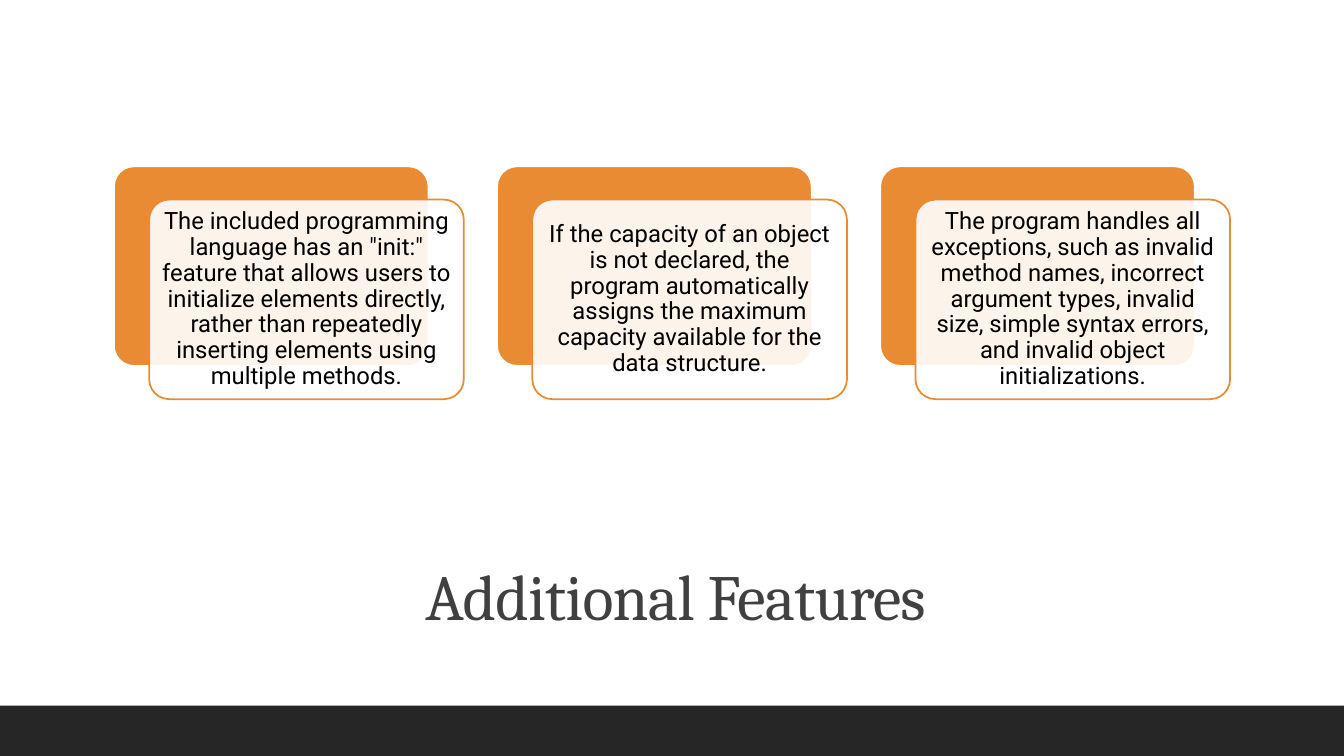
from lxml.etree import SubElement
from pptx import Presentation
from pptx.dml.color import RGBColor
from pptx.enum.shapes import MSO_SHAPE
from pptx.enum.text import MSO_ANCHOR, PP_ALIGN
from pptx.oxml.ns import qn
from pptx.util import Inches, Pt

TITLE = "Additional Features"
FEATURES = [
    'The included programming language has an "init:" feature that allows users to '
    "initialize elements directly, rather than repeatedly inserting elements using "
    "multiple methods.",
    "If the capacity of an object is not declared, the program automatically assigns "
    "the maximum capacity available for the data structure.",
    "The program handles all exceptions, such as invalid method names, incorrect "
    "argument types, invalid size, simple syntax errors, and invalid object "
    "initializations.",
]
COLORS = {
    "white": "FFFFFF",
    "orange": "E88B33",
    "footer": "262626",
    "title": "404040",
    "text": "000000",
}
SLIDE_WIDTH, SLIDE_HEIGHT = 13.33, 7.5
FOOTER_HEIGHT = 0.5
CARD_LEFT, CARD_TOP, CARD_STEP = 1.13, 1.65, 3.8
CARD_WIDTH, CARD_HEIGHT = 3.12, 1.98
OFFSET_X, OFFSET_Y = 0.35, 0.33
CARD_INSET = 0.07


def color(name):
    return RGBColor.from_string(COLORS[name])


def add_box(slide, kind, left, top, width, height, fill, line=None):
    shape = slide.shapes.add_shape(
        kind, Inches(left), Inches(top), Inches(width), Inches(height)
    )
    shape.shadow.inherit = False
    shape.fill.solid()
    shape.fill.fore_color.rgb = color(fill)
    if line:
        shape.line.color.rgb = color(line)
        shape.line.width = Pt(1.25)
    else:
        shape.line.fill.background()
    return shape


def add_card(slide, left, top, fill, line):
    shape = add_box(
        slide, MSO_SHAPE.ROUNDED_RECTANGLE, left, top, CARD_WIDTH, CARD_HEIGHT, fill, line
    )
    shape.adjustments[0] = 0.1
    return shape


def set_opacity(shape, percent):
    fill_color = shape.fill._xPr.find(qn("a:solidFill"))[0]
    SubElement(fill_color, qn("a:alpha"), val=str(percent * 1000))


def write_text(shape, text, font_name, size, color_name):
    frame = shape.text_frame
    frame.word_wrap = True
    frame.vertical_anchor = MSO_ANCHOR.MIDDLE
    paragraph = frame.paragraphs[0]
    paragraph.text = text
    paragraph.alignment = PP_ALIGN.CENTER
    paragraph.line_spacing = 0.9
    paragraph.font.name = font_name
    paragraph.font.size = Pt(size)
    paragraph.font.color.rgb = color(color_name)
    return frame


def main():
    presentation = Presentation()
    presentation.slide_width = Inches(SLIDE_WIDTH)
    presentation.slide_height = Inches(SLIDE_HEIGHT)
    slide = presentation.slides.add_slide(presentation.slide_layouts[6])
    slide.background.fill.solid()
    slide.background.fill.fore_color.rgb = color("white")

    title = slide.shapes.add_textbox(Inches(1.2), Inches(5.3), Inches(11), Inches(1.3))
    title_frame = write_text(title, TITLE, "Cambria", 46, "title")
    title_frame.paragraphs[0].runs[0].font._element.set("spc", "-50")

    add_box(
        slide, MSO_SHAPE.RECTANGLE, 0, SLIDE_HEIGHT - FOOTER_HEIGHT,
        SLIDE_WIDTH, FOOTER_HEIGHT, "footer",
    )

    for index, feature in enumerate(FEATURES):
        left = CARD_LEFT + index * CARD_STEP
        add_card(slide, left, CARD_TOP, "orange", "white")
        card = add_card(slide, left + OFFSET_X, CARD_TOP + OFFSET_Y, "white", "orange")
        set_opacity(card, 90)
        frame = write_text(card, feature, "Roboto", 17, "text")
        frame.margin_left = frame.margin_right = Inches(CARD_INSET)
        frame.margin_top = frame.margin_bottom = Inches(CARD_INSET)

    presentation.save("out.pptx")


if __name__ == "__main__":
    main()
